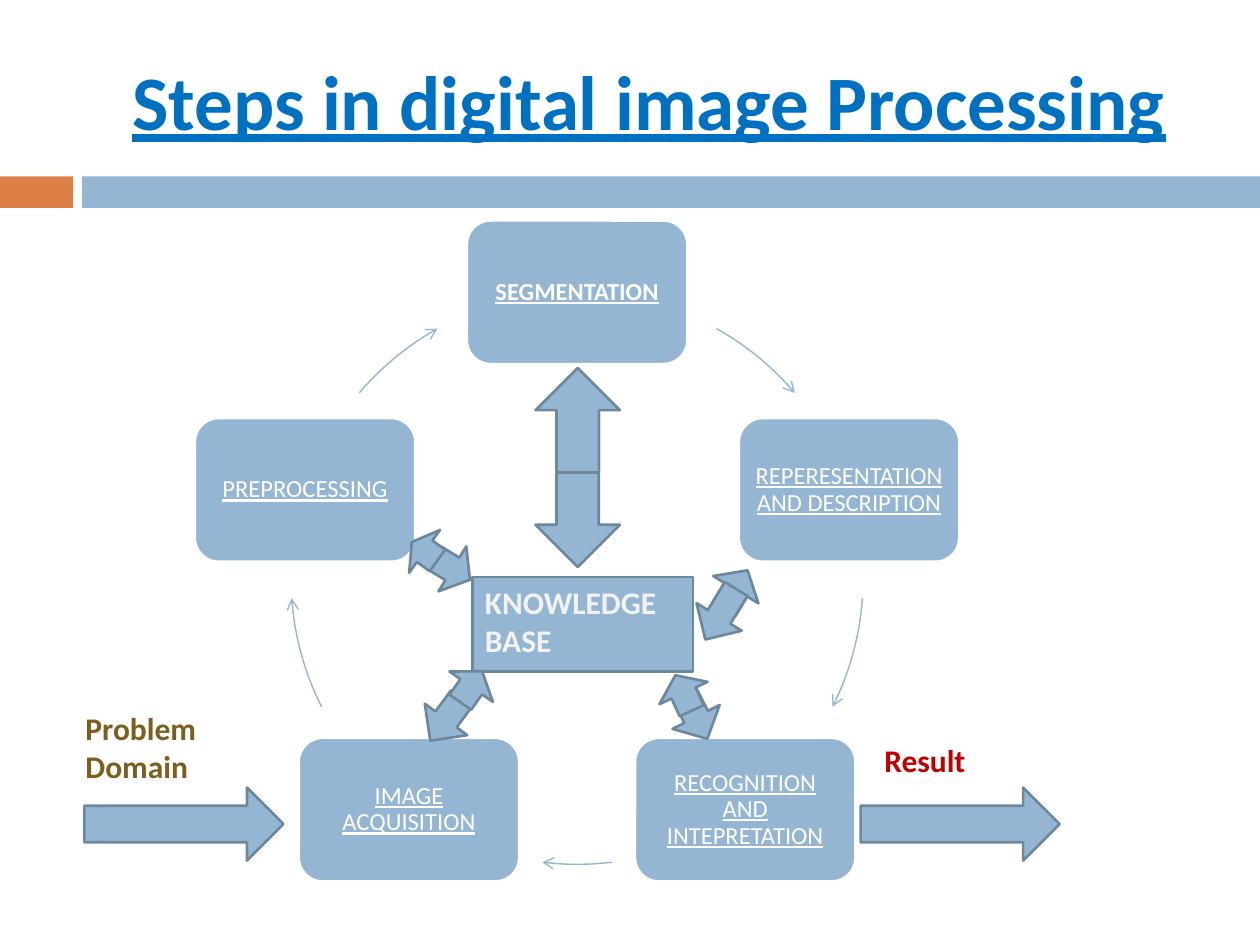
from math import cos, radians, sin

from lxml.etree import SubElement
from pptx import Presentation
from pptx.dml.color import RGBColor
from pptx.enum.shapes import MSO_SHAPE as Shape
from pptx.enum.text import MSO_ANCHOR as Anchor, PP_ALIGN as Align
from pptx.oxml.ns import qn
from pptx.util import Inches, Pt

COLORS = {
    "blue": "94B6D2",
    "outline": "6D879B",
    "orange": "DD8047",
    "title": "0070C0",
    "white": "FFFFFF",
    "pale": "F2F2F2",
    "brown": "7C5F1E",
    "red": "C00000",
}
CENTER_X, CENTER_Y, RADIUS = 4.58, 4.59, 2.27
NODE_WIDTH, NODE_HEIGHT = 1.75, 1.14
STEPS = [
    "SEGMENTATION",
    "REPERESENTATION AND DESCRIPTION",
    "RECOGNITION AND INTEPRETATION",
    "IMAGE ACQUISITION",
    "PREPROCESSING",
]
ARCS = [(29.2, 49.6), (94, 116.7), (173, 187), (243.3, 266), (310.4, 330.8)]
DOWN_ARROWS = [
    (4.25, 3.25, 0.67, 1.25, 0),
    (4.25, 2.92, 0.67, 0.83, 180),
    (3.38, 4.35, 0.42, 0.33, 301.7),
    (3.16, 4.25, 0.42, 0.25, 125.8),
    (3.33, 5.5, 0.42, 0.42, 36.5),
    (3.53, 5.3, 0.42, 0.3, 215),
    (5.63, 4.5, 0.42, 0.36, 211.1),
    (5.51, 4.64, 0.42, 0.47, 31.4),
]
RIGHT_ARROWS = [
    (5.33, 5.48, 0.39, 0.42, 63),
    (5.27, 5.29, 0.31, 0.42, 245.2),
    (0.67, 6.25, 1.58, 0.58, 0),
    (6.83, 6.25, 1.58, 0.58, 0),
]


def color(name):
    return RGBColor.from_string(COLORS[name])


def write_text(shape, text, size=18, fill="white", bold=True, underline=None,
               align=Align.LEFT, anchor=Anchor.TOP, spacing=None, inset=None):
    frame = shape.text_frame
    frame.word_wrap = True
    frame.vertical_anchor = anchor
    if inset is not None:
        frame.margin_left = frame.margin_right = Inches(inset)
    frame.text = text
    for para in frame.paragraphs:
        para.alignment = align
        para.line_spacing = spacing
        for span in para.runs:
            span.font.name = "Calibri"
            span.font.size = Pt(size)
            span.font.bold = bold
            span.font.underline = underline
            span.font.color.rgb = color(fill)


def add_block(slide, kind, left, top, width, height, fill="blue", line=None, rotation=0):
    block = slide.shapes.add_shape(
        kind, Inches(left), Inches(top), Inches(width), Inches(height))
    block.shadow.inherit = False
    block.rotation = rotation
    block.fill.solid()
    block.fill.fore_color.rgb = color(fill)
    if line:
        block.line.color.rgb = color(line)
        block.line.width = Pt(1.5)
    else:
        block.line.fill.background()
    return block


def add_label(slide, text, left, top, width, height, fill):
    box = slide.shapes.add_textbox(
        Inches(left), Inches(top), Inches(width), Inches(height))
    write_text(box, text, fill=fill)


def ring_point(degrees, radius=RADIUS):
    angle = radians(degrees)
    return CENTER_X + radius * sin(angle), CENTER_Y - radius * cos(angle)


def add_arc(slide, start, end, pieces=12):
    points = []
    for index in range(pieces + 1):
        x, y = ring_point(start + (end - start) * index / pieces)
        points.append((Inches(x), Inches(y)))
    builder = slide.shapes.build_freeform(*points[0])
    builder.add_line_segments(points[1:], close=False)
    arc = builder.convert_to_shape()
    arc.shadow.inherit = False
    arc.fill.background()
    arc.line.color.rgb = color("blue")
    arc.line.width = Pt(0.79)
    SubElement(arc.line._get_or_add_ln(), qn("a:tailEnd"), type="arrow")


def add_title(slide):
    title = slide.shapes.title
    title.left, title.top = Inches(0.67), Inches(0.25)
    title.width, title.height = Inches(8.92), Inches(1.08)
    write_text(title, "Steps in digital image Processing", size=44, fill="title",
               underline=True, anchor=Anchor.MIDDLE)
    title.text_frame.margin_left = Inches(0.38)
    title.text_frame.margin_right = Inches(0)


def add_cycle(slide):
    for index, (step, arc) in enumerate(zip(STEPS, ARCS)):
        x, y = ring_point(index * 360 / len(STEPS))
        node = add_block(slide, Shape.ROUNDED_RECTANGLE, x - NODE_WIDTH / 2,
                         y - NODE_HEIGHT / 2, NODE_WIDTH, NODE_HEIGHT, line="white")
        write_text(node, step, size=14, bold=index == 0, underline=True,
                   align=Align.CENTER, anchor=Anchor.MIDDLE, spacing=0.9, inset=0.06)
        add_arc(slide, *arc)


def add_arrows(slide):
    for kind, arrows in ((Shape.DOWN_ARROW, DOWN_ARROWS), (Shape.RIGHT_ARROW, RIGHT_ARROWS)):
        for left, top, width, height, rotation in arrows:
            add_block(slide, kind, left, top, width, height,
                      line="outline", rotation=rotation)


def main():
    deck = Presentation()
    deck.slide_width, deck.slide_height = Inches(10), Inches(7.5)
    page = deck.slides.add_slide(deck.slide_layouts[5])
    add_block(page, Shape.RECTANGLE, 0, 1.4, 0.58, 0.25, fill="orange")
    add_block(page, Shape.RECTANGLE, 0.65, 1.4, 9.35, 0.25)
    add_title(page)
    add_cycle(page)
    base = add_block(page, Shape.RECTANGLE, 3.75, 4.58, 1.75, 0.75, line="outline")
    write_text(base, "KNOWLEDGE BASE", fill="pale")
    add_arrows(page)
    add_label(page, "Problem\nDomain", 0.58, 5.58, 1.58, 0.71, "brown")
    add_label(page, "Result", 6.92, 5.83, 1.17, 0.4, "red")
    deck.save("out.pptx")


if __name__ == "__main__":
    main()
